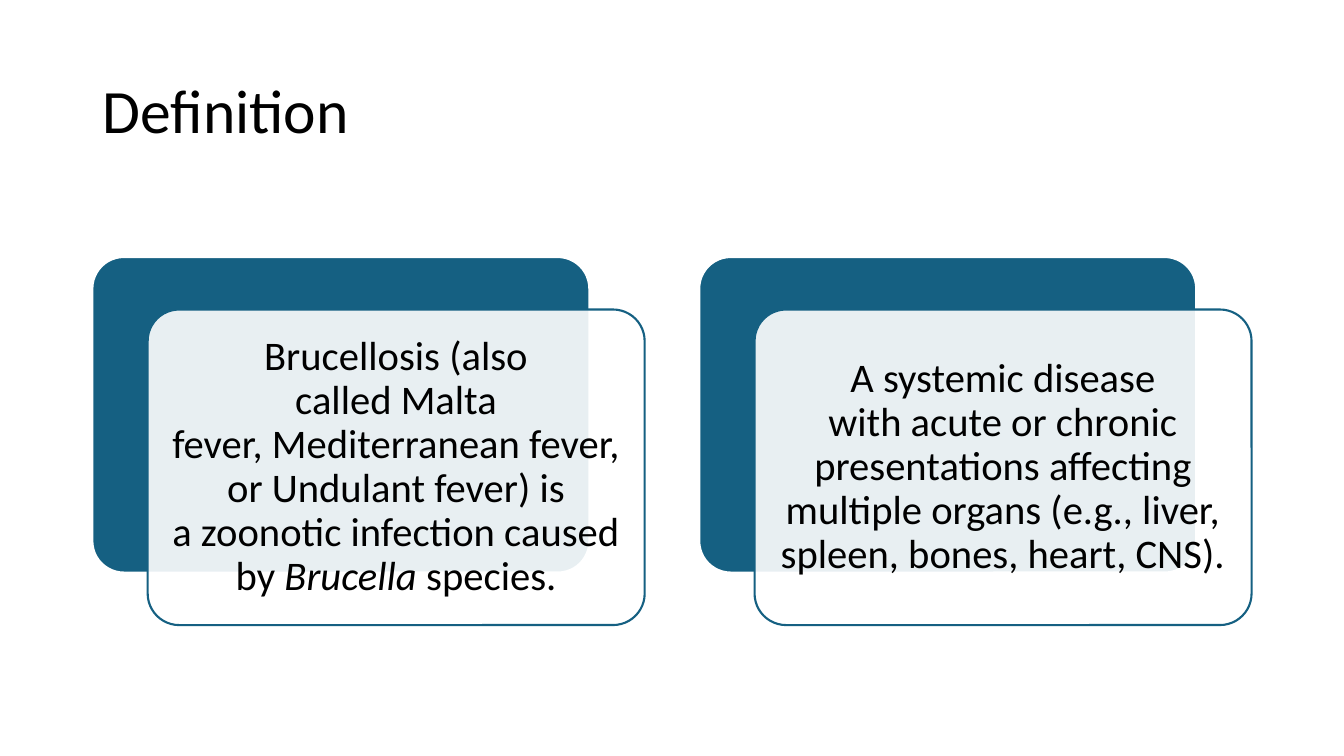
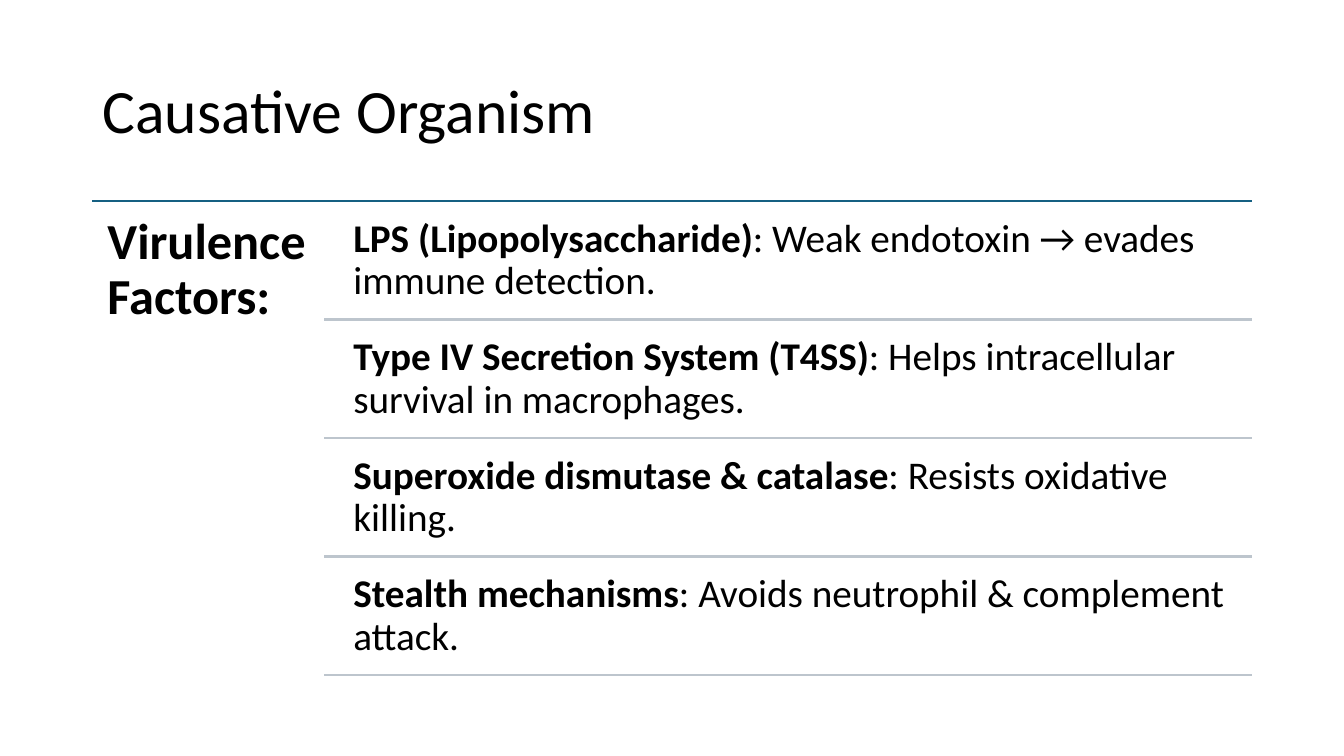
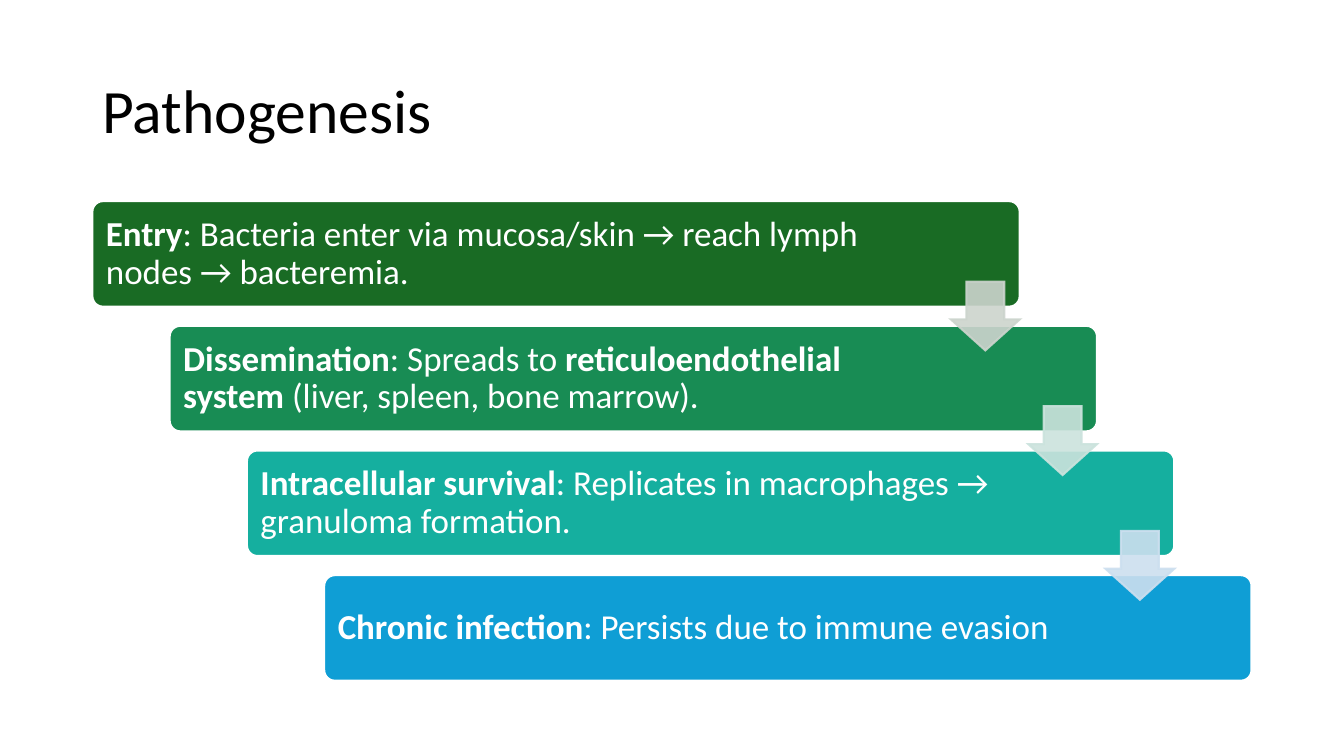
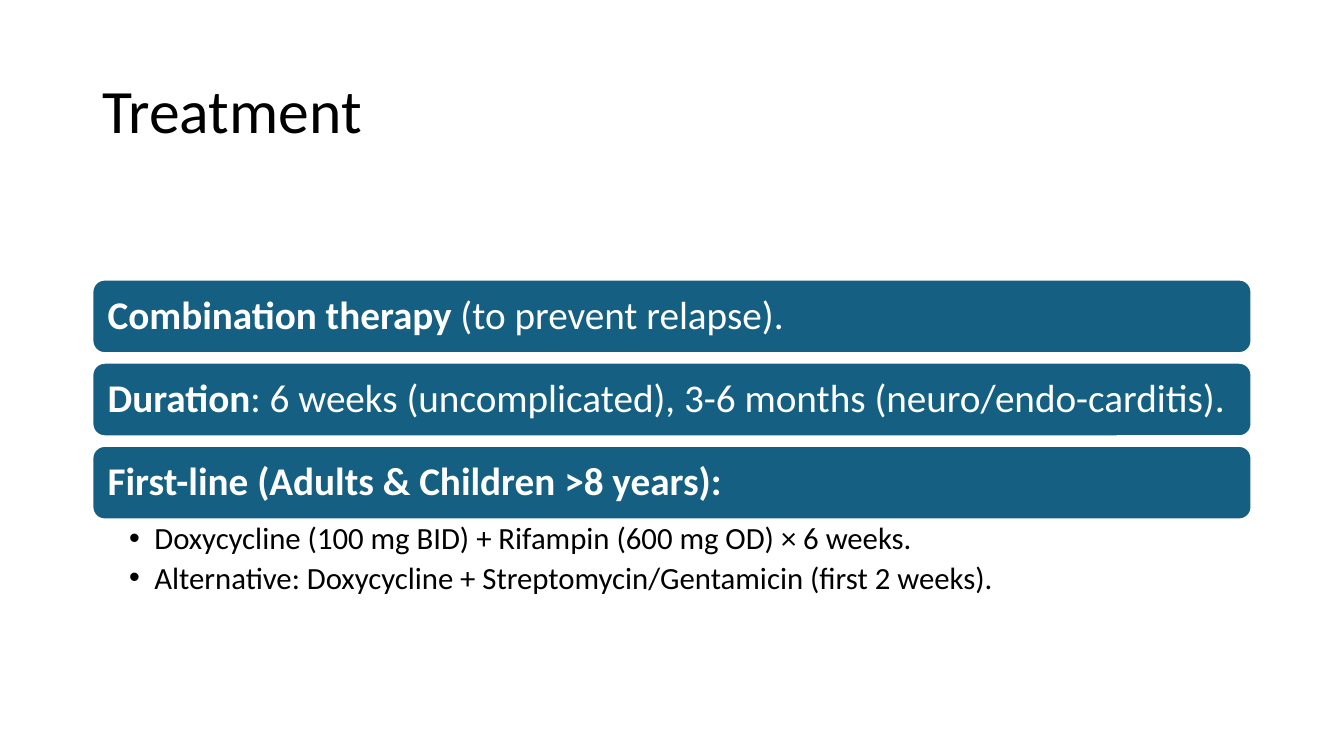
from lxml.etree import SubElement
from pptx import Presentation
from pptx.dml.color import RGBColor
from pptx.enum.shapes import MSO_CONNECTOR as Connector, MSO_SHAPE as Shape
from pptx.enum.text import MSO_ANCHOR as Anchor, MSO_AUTO_SIZE as AutoSize, PP_ALIGN as Align
from pptx.oxml.ns import qn
from pptx.util import Pt

# Shared look
FONT = "Calibri"
BLACK = RGBColor(0x00, 0x00, 0x00)
WHITE = RGBColor(0xFF, 0xFF, 0xFF)
TEAL = RGBColor(0x15, 0x60, 0x82)
RULE_GREY = RGBColor(0xBD, 0xC5, 0xCD)
LEFT, WIDTH = 66, 828
RIGHT = LEFT + WIDTH
LINE_WIDTH = 1.5
BULLET = "•"
NO_BREAK_SPACE = chr(160)

# Content: a text is a list of (words, style) runs; style is b, i or empty.
# A tilde stands for a no-break space.
DEFINITIONS = [
    [("Brucellosis~(also called~Malta fever,~Mediterranean fever, or Undulant fever) "
      "is a~zoonotic infection~caused by ", ""), ("Brucella", "i"), (" species.", "")],
    [("A systemic disease with~acute or chronic presentations affecting multiple organs "
      "(e.g., liver, spleen, bones, heart, CNS).", "")],
]
VIRULENCE_HEADING = [("Virulence Factors:", "b")]
VIRULENCE_FACTORS = [
    [("LPS (Lipopolysaccharide)", "b"), (": Weak endotoxin → evades immune detection.", "")],
    [("Type IV Secretion System (T4SS)", "b"),
     (": Helps intracellular survival in macrophages.", "")],
    [("Superoxide dismutase & catalase", "b"), (": Resists oxidative killing.", "")],
    [("Stealth mechanisms", "b"), (": Avoids neutrophil & complement attack.", "")],
]
# Stage text, fill, right inset, colour of the arrow to the next stage
STAGES = [
    ([("Entry", "b"), (": Bacteria enter via mucosa/skin → reach lymph nodes → bacteremia.", "")],
     RGBColor(0x19, 0x6B, 0x24), 90, RGBColor(0xCC, 0xD4, 0xCD)),
    ([("Dissemination", "b"), (": Spreads to~", ""), ("reticuloendothelial system", "b"),
      ("~(liver, spleen, bone marrow).", "")],
     RGBColor(0x18, 0x8C, 0x54), 111, RGBColor(0xCB, 0xE3, 0xDD)),
    ([("Intracellular survival", "b"), (": Replicates in macrophages → granuloma formation.", "")],
     RGBColor(0x15, 0xAF, 0x9F), 111, RGBColor(0xCC, 0xDF, 0xEF)),
    ([("Chronic infection", "b"), (": Persists due to immune evasion", "")],
     RGBColor(0x0F, 0x9E, 0xD5), 111, None),
]
TREATMENT_RULES = [
    [("Combination therapy", "b"), ("~(to prevent relapse).", "")],
    [("Duration", "b"), (": 6 weeks (uncomplicated), 3-6 months (neuro/endo-carditis).", "")],
    [("First-line (Adults & Children >8 years):", "b")],
]
REGIMENS = [
    [("Doxycycline (100 mg BID) + Rifampin (600 mg OD) × 6 weeks.", "")],
    [("Alternative: Doxycycline + Streptomycin/Gentamicin (first 2 weeks).", "")],
]


def write(frame, *texts, size, color=BLACK, align=Align.LEFT, anchor=Anchor.MIDDLE,
          insets=(7.2, 3.6, 7.2, 3.6), bullet=None, space_after=0):
    """Write each text as a paragraph; insets are left, top, right, bottom."""
    frame.word_wrap = True
    frame.auto_size = AutoSize.NONE
    frame.vertical_anchor = anchor
    (frame.margin_left, frame.margin_top,
     frame.margin_right, frame.margin_bottom) = map(Pt, insets)
    for number, runs in enumerate(texts):
        paragraph = frame.add_paragraph() if number else frame.paragraphs[0]
        if bullet:
            paragraph.level = 1
            properties = paragraph._p.get_or_add_pPr()
            properties.set("marL", str(Pt(18)))
            properties.set("indent", str(Pt(-18)))
            SubElement(properties, qn("a:buFont"), typeface="Arial")
            SubElement(properties, qn("a:buChar"), char=bullet)
        paragraph.alignment = align
        paragraph.line_spacing = 0.9
        paragraph.space_before = Pt(0)
        paragraph.space_after = Pt(space_after)
        for words, style in runs:
            run = paragraph.add_run()
            run.text = words.replace("~", NO_BREAK_SPACE)
            font = run.font
            font.name, font.size, font.color.rgb = FONT, Pt(size), color
            font.bold, font.italic = style == "b", style == "i"


def place(part, left, top, width, height):
    part.left, part.top, part.width, part.height = map(Pt, (left, top, width, height))


def set_opacity(fill_parent, percent):
    color = fill_parent.find(qn("a:solidFill"))[0]
    SubElement(color, qn("a:alpha"), val=str(percent * 1000))


def add_block(slide, kind, box, fill, outline=WHITE, adjust=(), opacity=100, line_opacity=100):
    block = slide.shapes.add_shape(kind, *map(Pt, box))
    block.shadow.inherit = False
    block.fill.solid()
    block.fill.fore_color.rgb = fill
    block.line.color.rgb = outline
    block.line.width = Pt(LINE_WIDTH)
    for number, value in enumerate(adjust):
        block.adjustments[number] = value
    outline_xml = block._element.spPr.find(qn("a:ln"))
    SubElement(outline_xml, qn("a:miter"), lim="800000")
    if opacity < 100:
        set_opacity(block._element.spPr, opacity)
    if line_opacity < 100:
        set_opacity(outline_xml, line_opacity)
    return block


def add_label(slide, box, runs, **style):
    label = slide.shapes.add_textbox(*map(Pt, box))
    write(label.text_frame, runs, anchor=Anchor.TOP, **style)


def add_rule(slide, left, top, color):
    rule = slide.shapes.add_connector(Connector.STRAIGHT, Pt(left), Pt(top), Pt(RIGHT), Pt(top))
    rule.line.color.rgb = color
    rule.line.width = Pt(LINE_WIDTH)
    SubElement(rule._element.spPr, qn("a:effectLst"))


def add_slide(deck, title, layout=5):
    slide = deck.slides.add_slide(deck.slide_layouts[layout])
    place(slide.shapes.title, LEFT, 28.75, WIDTH, 104.4)
    write(slide.shapes.title.text_frame, [(title, "")], size=44)
    return slide


def build_definition(deck):
    slide = add_slide(deck, "Definition")
    top, width, height = 183.6, 355, 225.4
    shift_x, shift_y = 39.5, 37.5
    pitch = WIDTH - width - shift_x
    for number, runs in enumerate(DEFINITIONS):
        left = LEFT + number * pitch
        add_block(slide, Shape.ROUNDED_RECTANGLE, (left, top, width, height), TEAL, adjust=[0.1])
        card = add_block(slide, Shape.ROUNDED_RECTANGLE,
                         (left + shift_x, top + shift_y, width, height),
                         WHITE, TEAL, adjust=[0.1], opacity=90)
        write(card.text_frame, runs, size=29, align=Align.CENTER, insets=[8.7] * 4)


def build_organism(deck):
    slide = add_slide(deck, "Causative Organism")
    top, heading_width, row_height, gap = 143.6, 165.6, 80.6, 4.03
    rule_left = LEFT + heading_width
    text_left = rule_left + 12.4
    add_rule(slide, LEFT, top, TEAL)
    add_label(slide, (LEFT, top, heading_width, 342.7), VIRULENCE_HEADING,
              size=36, insets=[10.8] * 4)
    for number, runs in enumerate(VIRULENCE_FACTORS):
        row_top = top + gap + number * (row_height + gap)
        add_label(slide, (text_left, row_top, RIGHT - text_left, row_height), runs,
                  size=28, insets=[8.4] * 4)
        add_rule(slide, rule_left, row_top + row_height, RULE_GREY)


def build_pathogenesis(deck):
    slide = add_slide(deck, "Pathogenesis")
    top, width, height, arrow_size = 143.7, 662.4, 75.4, 49.1
    step_x, step_y = (WIDTH - width) / (len(STAGES) - 1), 89.05
    corners = [(LEFT + n * step_x, top + n * step_y) for n in range(len(STAGES))]
    for (left, stage_top), (runs, fill, right_inset, _) in zip(corners, STAGES):
        stage = add_block(slide, Shape.ROUNDED_RECTANGLE, (left, stage_top, width, height),
                          fill, adjust=[0.1])
        write(stage.text_frame, runs, size=25, color=WHITE, insets=(7.5, 7.5, right_inset, 7.5))
    # Arrows lie over the stages
    for (left, stage_top), (*_, tint) in zip(corners[:-1], STAGES):
        add_block(slide, Shape.DOWN_ARROW,
                  (left + width - arrow_size, stage_top + 57.5, arrow_size, arrow_size),
                  tint, tint, adjust=[0.55, 0.45], opacity=90, line_opacity=90)


def build_treatment(deck):
    slide = add_slide(deck, "Treatment", layout=1)
    top, height, pitch = 199.7, 52.6, 59.4
    for number, runs in enumerate(TREATMENT_RULES):
        bar = add_block(slide, Shape.ROUNDED_RECTANGLE,
                        (LEFT, top + number * pitch, WIDTH, height), TEAL)
        write(bar.text_frame, runs, size=28, color=WHITE, insets=[8.4] * 4)
    regimens = slide.placeholders[1]
    place(regimens, LEFT, top + 2 * pitch + height - 0.3, WIDTH, 59)
    write(regimens.text_frame, *REGIMENS, size=22, anchor=Anchor.TOP,
          insets=(26.3, 2.8, 15.7, 2.8), bullet=BULLET, space_after=4.4)


def main():
    deck = Presentation()
    deck.slide_width, deck.slide_height = Pt(960), Pt(540)
    for build in (build_definition, build_organism, build_pathogenesis, build_treatment):
        build(deck)
    deck.save("out.pptx")


if __name__ == "__main__":
    main()
